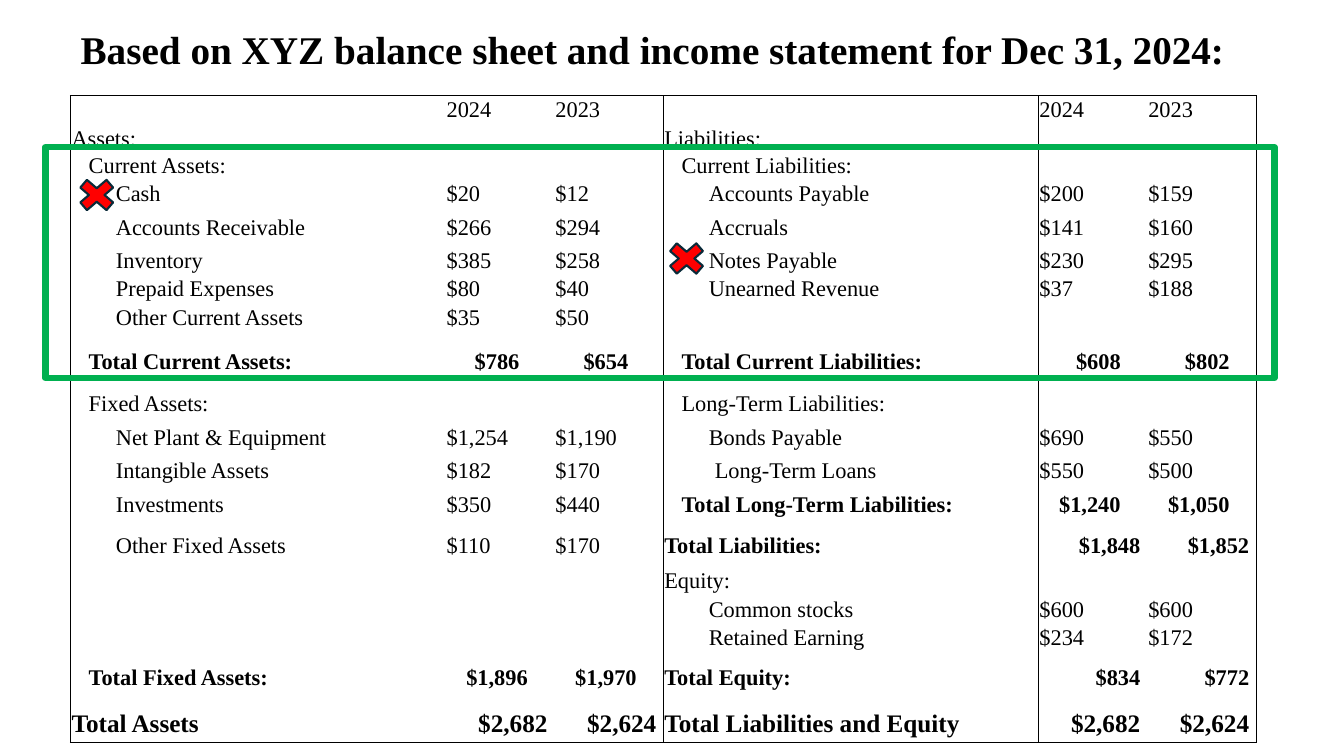
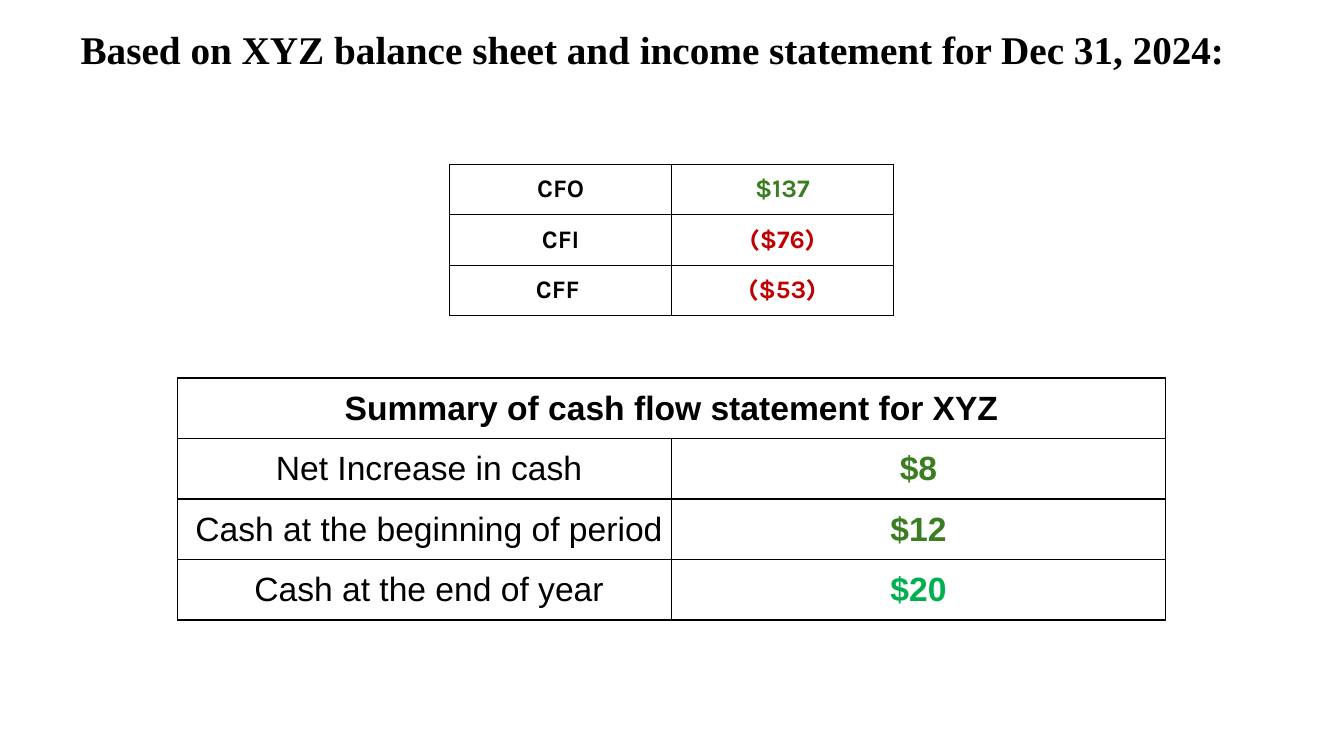
"""Build the XYZ balance sheet and cash flow summary slides."""
import dataclasses

import lxml.etree
import pptx
import pptx.dml.color
import pptx.enum.shapes
import pptx.enum.text
import pptx.oxml.ns
import pptx.util

Inches = pptx.util.Inches
Pt = pptx.util.Pt
RGB = pptx.dml.color.RGBColor.from_string
qn = pptx.oxml.ns.qn
SHAPE = pptx.enum.shapes.MSO_SHAPE
ALIGN = pptx.enum.text.PP_ALIGN
ANCHOR = pptx.enum.text.MSO_ANCHOR


@dataclasses.dataclass(frozen=True)
class Theme:
    black: str = "000000"
    white: str = "FFFFFF"
    gain: str = "3B7D23"
    loss: str = "C00000"
    accent: str = "00B050"
    cross: str = "FF0000"
    cross_line: str = "092A39"
    serif: str = "Times New Roman"
    sans: str = "Arial"
    display: str = "Karla"
    title: int = 28
    summary: int = 24
    total: int = 18
    body: int = 16


T = Theme()

TITLE = "Based on XYZ balance sheet and income statement for Dec 31, 2024:"

BALANCE_COLS = [3.72, 1.08, 1.08] * 2
BALANCE_ROWS = [
    (0.28, ("", 0, "item", "2024", "2023"), ("", 0, "item", "2024", "2023")),
    (0.27, ("Assets:", 0, "item", "", ""), ("Liabilities:", 0, "item", "", "")),
    (0.27, ("Current Assets:", 1, "item", "", ""), ("Current Liabilities:", 1, "item", "", "")),
    (0.27, ("Cash", 2, "item", "$20", "$12"), ("Accounts Payable", 2, "item", "$200", "$159")),
    (0.39, ("Accounts Receivable", 2, "item", "$266", "$294"), ("Accruals", 2, "item", "$141", "$160")),
    (0.27, ("Inventory", 2, "item", "$385", "$258"), ("Notes Payable", 2, "item", "$230", "$295")),
    (0.27, ("Prepaid Expenses", 2, "item", "$80", "$40"), ("Unearned Revenue", 2, "item", "$37", "$188")),
    (0.3, ("Other Current Assets", 2, "item", "$35", "$50"), ("", 0, "item", "", "")),
    (0.56, ("Total Current Assets:", 1, "subtotal", "$786", "$654"),
     ("Total Current Liabilities:", 1, "inset", "$608", "$802")),
    (0.27, ("Fixed Assets:", 1, "item", "", ""), ("Long-Term Liabilities:", 1, "item", "", "")),
    (0.39, ("Net Plant & Equipment", 2, "item", "$1,254", "$1,190"), ("Bonds Payable", 2, "item", "$690", "$550")),
    (0.27, ("Intangible Assets", 2, "item", "$182", "$170"), ("Long-Term Loans", 3, "item", "$550", "$500")),
    (0.39, ("Investments", 2, "item", "$350", "$440"),
     ("Total Long-Term Liabilities:", 1, "subtotal", "$1,240", "$1,050")),
    (0.42, ("Other Fixed Assets", 2, "item", "$110", "$170"), ("Total Liabilities:", 0, "total", "$1,848", "$1,852")),
    (0.29, ("", 0, "item", "", ""), ("Equity:", 0, "item", "", "")),
    (0.27, ("", 0, "item", "", ""), ("Common stocks", 2, "item", "$600", "$600")),
    (0.27, ("", 0, "item", "", ""), ("Retained Earning", 2, "item", "$234", "$172")),
    (0.53, ("Total Fixed Assets:", 1, "subtotal", "$1,896", "$1,970"), ("Total Equity:", 0, "total", "$834", "$772")),
    (0.38, ("Total Assets", 0, "grand", "$2,682", "$2,624"),
     ("Total Liabilities and Equity", 0, "grand", "$2,682", "$2,624")),
]
INDENTS = [0.01, 0.18, 0.45, 0.51]
KINDS = {
    "item": (T.body, False, ALIGN.LEFT, 0.01, 0.01),
    "subtotal": (T.body, True, ALIGN.CENTER, 0.01, 0.07),
    "inset": (T.body, True, ALIGN.CENTER, 0.18, 0.07),
    "total": (T.body, True, ALIGN.RIGHT, 0.01, 0.07),
    "grand": (T.total, True, ALIGN.RIGHT, 0.01, 0.07),
}
CROSSES = [(6.56, 2.35), (0.71, 1.72)]

SUMMARY_TITLE = "Summary of cash flow statement for XYZ"
SUMMARY_ROWS = [
    ("Net Increase in cash", "$8", T.gain),
    ("Cash at the beginning of period", "$12", T.gain),
    ("Cash at the end of year", "$20", T.accent),
]
FLOW_ROWS = [
    ("CFO", "$137", T.gain, 0.1),
    ("CFI", "($76)", T.loss, 0.1),
    ("CFF", "($53)", T.loss, 0.16),
]


def set_all(target, values):
    for name, value in values.items():
        setattr(target, name, value)


def write(p, text, size, font, color=T.black, bold=False, align=ALIGN.LEFT):
    p.alignment = align
    if not text:
        lxml.etree.SubElement(p._p, qn("a:endParaRPr"), sz=str(size * 100))
        return
    r = p.add_run()
    r.text = text
    set_all(r.font, {"size": Pt(size), "name": font, "bold": bold})
    r.font.color.rgb = RGB(color)


def style_cell(cell, sides="LRTB", margins=(0.01, 0.01, 0.01, 0)):
    names = ("margin_left", "margin_top", "margin_right", "margin_bottom")
    set_all(cell, dict(zip(names, map(Inches, margins))))
    cell.vertical_anchor = ANCHOR.MIDDLE
    tcPr = cell._tc.get_or_add_tcPr()
    for side in "LRTB":
        ln = lxml.etree.SubElement(tcPr, qn("a:ln" + side), w=str(Pt(1)))
        if side in sides:
            fill = lxml.etree.SubElement(ln, qn("a:solidFill"))
            lxml.etree.SubElement(fill, qn("a:srgbClr"), val=T.black)
        else:
            lxml.etree.SubElement(ln, qn("a:noFill"))
    cell.fill.solid()
    cell.fill.fore_color.rgb = RGB(T.white)


def add_grid(s, left, top, cols, rows):
    box = map(Inches, (left, top, sum(cols), sum(rows)))
    table = s.shapes.add_table(len(rows), len(cols), *box).table
    set_all(table, {"first_row": False, "horz_banding": False})
    for col, width in zip(table.columns, cols):
        col.width = Inches(width)
    for row, height in zip(table.rows, rows):
        row.height = Inches(height)
    return table


def add_titled_slide(prs, width):
    s = prs.slides.add_slide(prs.slide_layouts[5])
    sp = s.shapes.title
    box = {"left": 0.7, "top": 0.2, "width": width, "height": 0.57}
    set_all(sp, {name: Inches(value) for name, value in box.items()})
    set_all(sp.text_frame, {"word_wrap": False, "vertical_anchor": ANCHOR.TOP,
                            "auto_size": pptx.enum.text.MSO_AUTO_SIZE.SHAPE_TO_FIT_TEXT})
    write(sp.text_frame.paragraphs[0], TITLE, T.title, T.serif, bold=True)
    return s


def add_mark(s, kind, box, line, width, fill=None):
    sp = s.shapes.add_shape(kind, *map(Inches, box))
    sp.shadow.inherit = False
    if fill:
        sp.fill.solid()
        sp.fill.fore_color.rgb = RGB(fill)
    else:
        sp.fill.background()
    sp.line.color.rgb = RGB(line)
    sp.line.width = Pt(width)


def balance_sides(row, col):
    sides = "L" if col in (0, 3, 4) else ""
    sides += "R" if col in (2, 3, 5) else ""
    sides += "T" if row == 0 else ""
    return sides + ("B" if row == len(BALANCE_ROWS) - 1 else "")


def build_balance_sheet(prs):
    s = add_titled_slide(prs, 11.93)
    table = add_grid(s, 0.7, 0.95, BALANCE_COLS, [row[0] for row in BALANCE_ROWS])
    for i, (_, *halves) in enumerate(BALANCE_ROWS):
        for half, (label, level, kind, *values) in enumerate(halves):
            size, bold, align, left, right = KINDS[kind]
            for j, text in enumerate((label, *values)):
                col = half * 3 + j
                cell = table.cell(i, col)
                margins = (left, 0.01, right, 0) if j else (INDENTS[level], 0.01, 0.01, 0)
                style_cell(cell, balance_sides(i, col), margins)
                write(cell.text_frame.paragraphs[0], text, size, T.serif,
                      bold=bold, align=align if j else ALIGN.LEFT)
    add_mark(s, SHAPE.RECTANGLE, (0.45, 1.46, 12.19, 2.29), T.accent, 4.5)
    for left, top in CROSSES:
        add_mark(s, SHAPE.MATH_MULTIPLY, (left, top, 0.5, 0.43), T.cross_line, 1.5, T.cross)


def build_cash_flow(prs):
    s = add_titled_slide(prs, 11.67)
    table = add_grid(s, 1.76, 3.75, [4.9] * 2, [0.6] * 4)
    for cell in table.iter_cells():
        style_cell(cell)
    heading = table.cell(0, 0)
    heading.merge(table.cell(0, 1))
    write(heading.text_frame.paragraphs[0], SUMMARY_TITLE, T.summary, T.sans, bold=True, align=ALIGN.CENTER)
    for i, (label, value, color) in enumerate(SUMMARY_ROWS, 1):
        table.cell(i, 0).margin_left = Inches(0.1)
        for j, (text, tint) in enumerate(((label, T.black), (value, color))):
            write(table.cell(i, j).text_frame.paragraphs[0], text, T.summary, T.sans,
                  tint, bold=j == 1, align=ALIGN.CENTER)

    table = add_grid(s, 4.46, 1.63, [2.2] * 2, [0.5] * 3)
    for i, (label, value, color, right) in enumerate(FLOW_ROWS):
        for j, (text, tint, margin) in enumerate(((label, T.black, right), (value, color, 0.1))):
            cell = table.cell(i, j)
            style_cell(cell, margins=(0.1, 0.05, margin, 0.05))
            write(cell.text_frame.paragraphs[0], text, T.total, T.display, tint, True, ALIGN.CENTER)


def main():
    prs = pptx.Presentation()
    set_all(prs, {"slide_width": Inches(13.33), "slide_height": Inches(7.5)})
    build_balance_sheet(prs)
    build_cash_flow(prs)
    prs.save("out.pptx")


if __name__ == "__main__":
    main()
